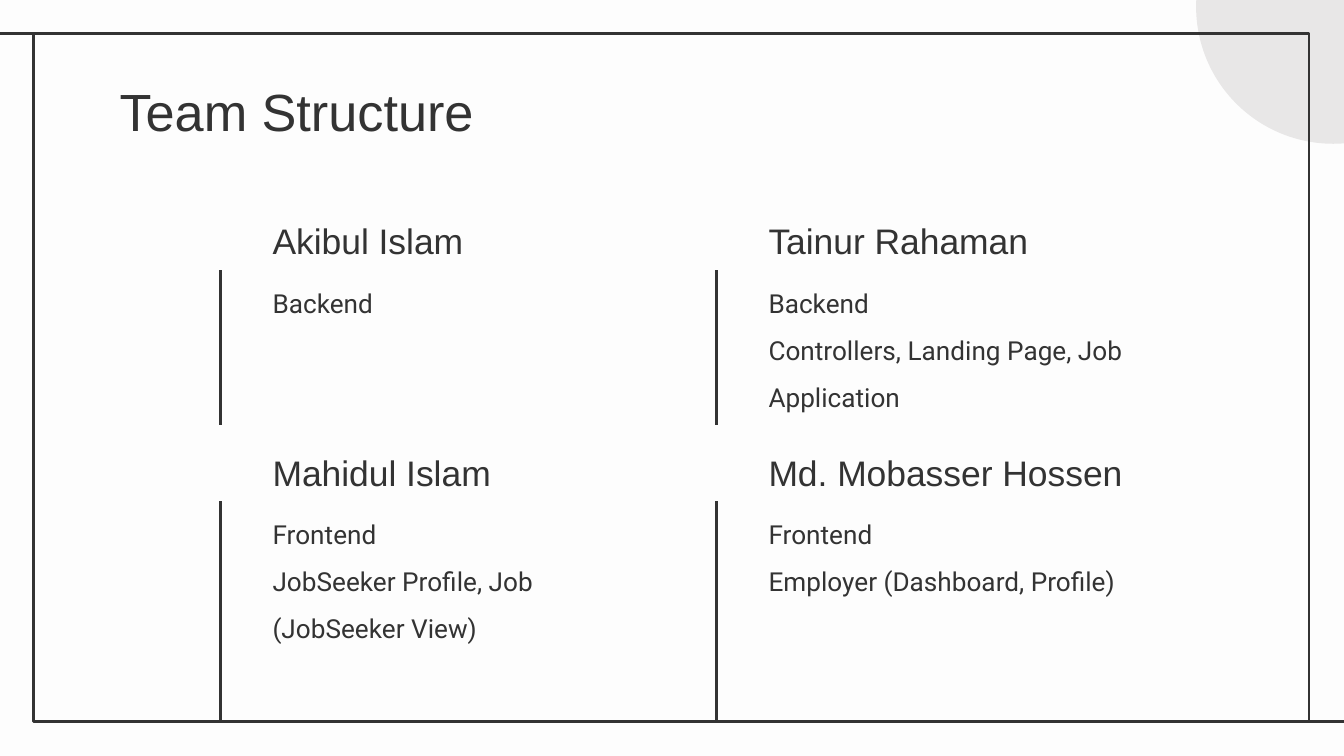
from lxml import etree
from pptx import Presentation
from pptx.dml.color import RGBColor
from pptx.enum import shapes, text
from pptx.oxml import ns
from pptx.util import Inches, Pt

INK = RGBColor(0x33, 0x33, 0x33)
PAPER = RGBColor(0xFD, 0xFD, 0xFD)
GREY = RGBColor(0xE8, 0xE7, 0xE7)

WIDTH = 10
HEIGHT = WIDTH * 9 / 16
FRAME = (0.25, 0.25, 9.49, 5.12)
COLUMN_X = (1.64, 5.33)
ROW_Y = (2.01, 3.73)
BAR_HEIGHTS = (1.15, 1.65)
TEAM = [
    [("Akibul Islam", ["Backend"]),
     ("Tainur Rahaman", ["Backend", "Controllers, Landing Page, Job Application"])],
    [("Mahidul Islam", ["Frontend", "JobSeeker Profile, Job (JobSeeker View)"]),
     ("Md. Mobasser Hossen", ["Frontend", "Employer (Dashboard, Profile)"])],
]


def add_line(s, x1, y1, x2, y2):
    line = s.shapes.add_connector(
        shapes.MSO_CONNECTOR.STRAIGHT, Inches(x1), Inches(y1), Inches(x2), Inches(y2))
    line.line.color.rgb = INK
    line.line.width = Pt(1.5)
    etree.SubElement(line._element.spPr, ns.qn("a:effectLst"))


def write(sp, lines, font, size, spacing, anchor=text.MSO_ANCHOR.TOP):
    tf = sp.text_frame
    tf.text = "\n".join(lines)
    tf.word_wrap = True
    tf.auto_size = text.MSO_AUTO_SIZE.NONE
    tf.vertical_anchor = anchor
    tf.margin_left = tf.margin_right = tf.margin_top = tf.margin_bottom = Inches(0.1)
    for p in tf.paragraphs:
        p.alignment = text.PP_ALIGN.LEFT
        p.line_spacing = spacing
        for r in p.runs:
            r.font.name = font
            r.font.size = Pt(size)
            r.font.color.rgb = INK


def add_frame(s, x, y, w, h):
    circle = s.shapes.add_shape(
        shapes.MSO_SHAPE.OVAL, Inches(x + w - 0.84), Inches(y - 1.22), Inches(2.04), Inches(2.04))
    circle.fill.solid()
    circle.fill.fore_color.rgb = GREY
    circle.line.fill.background()
    circle.shadow.inherit = False

    border = s.shapes.add_shape(
        shapes.MSO_SHAPE.RECTANGLE, Inches(x), Inches(y), Inches(w), Inches(h))
    border.fill.background()
    border.line.color.rgb = INK
    border.line.width = Pt(1.5)
    border.shadow.inherit = False

    add_line(s, x, y, 0, y)
    add_line(s, WIDTH, y + h, x + w, y + h)


def add_title(s, x, y, w, h):
    title = s.shapes.title
    title.left, title.top, title.width, title.height = map(Inches, (x, y, w, h))
    write(title, ["Team Structure"], "Arial", 28, 1.0)


def add_member(s, x, y, bar_height, name, roles):
    add_line(s, x, y, x, y + bar_height)
    left, width = Inches(x + 0.29), Inches(2.94)
    role_box = s.shapes.add_textbox(left, Inches(y - 0.09), width, Inches(1))
    write(role_box, roles, "Roboto", 14, 1.5)
    name_box = s.shapes.add_textbox(left, Inches(y - 0.35), width, Inches(0.39))
    write(name_box, [name], "Arial", 19, 1.15, text.MSO_ANCHOR.BOTTOM)


def main():
    prs = Presentation()
    prs.slide_width, prs.slide_height = Inches(WIDTH), Inches(HEIGHT)
    s = prs.slides.add_slide(prs.slide_layouts.get_by_name("Title Only"))
    s.background.fill.solid()
    s.background.fill.fore_color.rgb = PAPER

    add_frame(s, *FRAME)
    add_title(s, 0.79, 0.49, 8.43, 0.63)
    for y, bar_height, members in zip(ROW_Y, BAR_HEIGHTS, TEAM):
        for x, (name, roles) in zip(COLUMN_X, members):
            add_member(s, x, y, bar_height, name, roles)
    prs.save("out.pptx")


if __name__ == "__main__":
    main()
